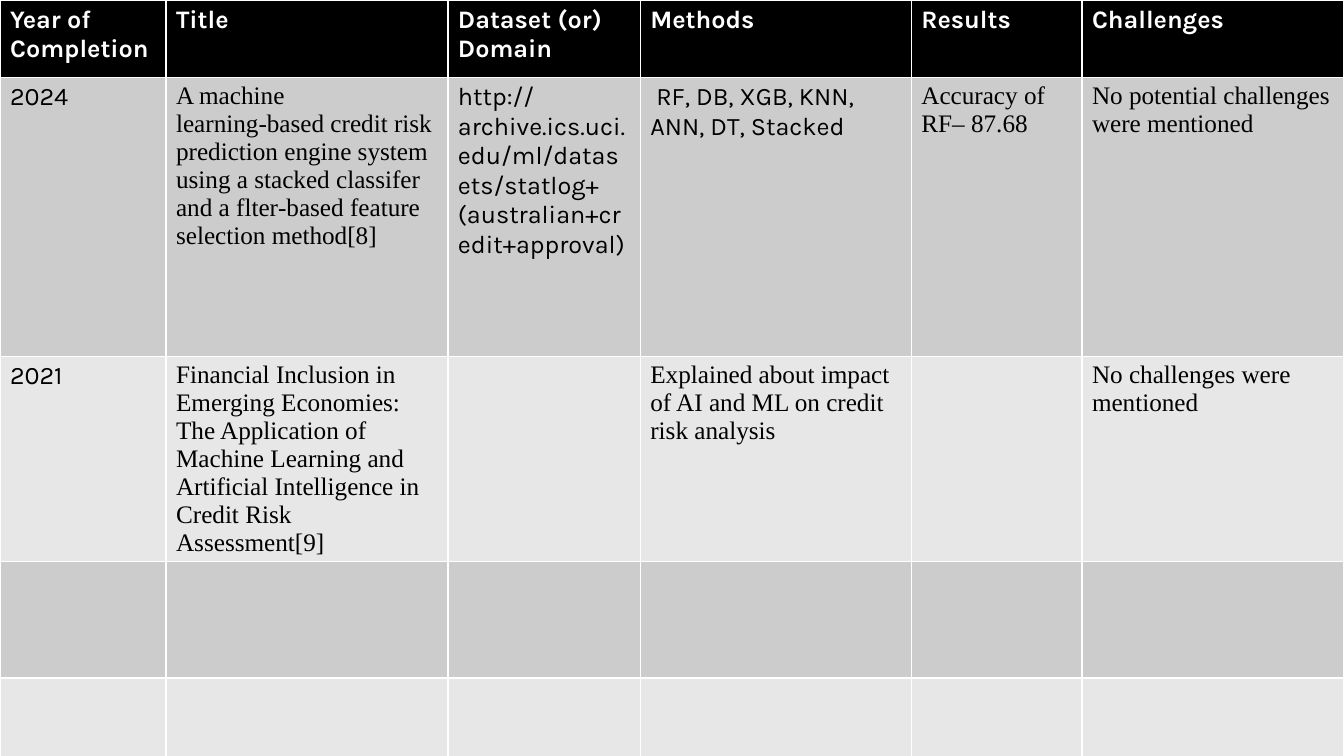
import pptx
import pptx.dml.color
import pptx.util

Pt = pptx.util.Pt
RGBColor = pptx.dml.color.RGBColor

BLACK = RGBColor(0x00, 0x00, 0x00)
WHITE = RGBColor(0xFF, 0xFF, 0xFF)
DARK_BAND = RGBColor(0xCC, 0xCC, 0xCC)
LIGHT_BAND = RGBColor(0xE7, 0xE7, 0xE7)

SANS = "Karla"
SERIF = "Times New Roman"
TEXT_SIZE = 18
SLIDE_WIDTH, SLIDE_HEIGHT = 960, 540

HEADINGS = ["Year of Completion", "Title", "Dataset (or)\nDomain",
            "Methods", "Results", "Challenges"]
STUDIES = [
    [
        ("2024", SANS),
        ("A machine learning‑based credit risk prediction engine system "
         "using a stacked classifer and a flter‑based feature "
         "selection method[8]", SERIF),
        ("http://archive.ics.uci.edu/ml/datas ets/statlog+"
         "(australian+credit+approval)", SANS),
        (" RF, DB, XGB, KNN, ANN, DT, Stacked", SANS),
        ("Accuracy of RF– 87.68", SERIF),
        ("No potential challenges were mentioned", SERIF),
    ],
    [
        ("2021", SANS),
        ("Financial Inclusion in Emerging Economies: The Application of "
         "Machine Learning and Artificial Intelligence in Credit Risk "
         "Assessment[9]", SERIF),
        ("", SERIF),
        ("Explained about impact of AI and ML on credit risk analysis", SERIF),
        ("", SERIF),
        ("No challenges were mentioned", SERIF),
    ],
]
EMPTY_ROWS = 2
COLUMN_WIDTHS = [118.6, 201.4, 137.4, 193.6, 121.9, 187.1]
ROW_HEIGHTS = [55.2, 199.4, 127.4, 83, 75]


def fill_cell(cell, text, font_name, text_color, fill_color, bold=False):
    cell.fill.solid()
    cell.fill.fore_color.rgb = fill_color
    cell.text_frame.text = text
    for paragraph in cell.text_frame.paragraphs:
        paragraph.font.size = Pt(TEXT_SIZE)
        for run in paragraph.runs:
            run.font.name = font_name
            run.font.size = Pt(TEXT_SIZE)
            run.font.bold = bold
            run.font.color.rgb = text_color


def add_literature_table(slide):
    body = STUDIES + [[("", SANS)] * len(HEADINGS)] * EMPTY_ROWS
    table = slide.shapes.add_table(
        len(body) + 1, len(HEADINGS), Pt(0), Pt(0),
        Pt(sum(COLUMN_WIDTHS)), Pt(sum(ROW_HEIGHTS))).table
    for column, width in zip(table.columns, COLUMN_WIDTHS):
        column.width = Pt(width)
    for row, height in zip(table.rows, ROW_HEIGHTS):
        row.height = Pt(height)

    for column_index, heading in enumerate(HEADINGS):
        fill_cell(table.cell(0, column_index), heading, SANS, WHITE, BLACK,
                  bold=True)
    for row_index, entries in enumerate(body, start=1):
        band = DARK_BAND if row_index % 2 else LIGHT_BAND
        for column_index, (text, font_name) in enumerate(entries):
            fill_cell(table.cell(row_index, column_index), text, font_name,
                      BLACK, band)


def main():
    presentation = pptx.Presentation()
    presentation.slide_width = Pt(SLIDE_WIDTH)
    presentation.slide_height = Pt(SLIDE_HEIGHT)
    blank_layout = presentation.slide_layouts[6]
    add_literature_table(presentation.slides.add_slide(blank_layout))
    presentation.save("out.pptx")


if __name__ == "__main__":
    main()
